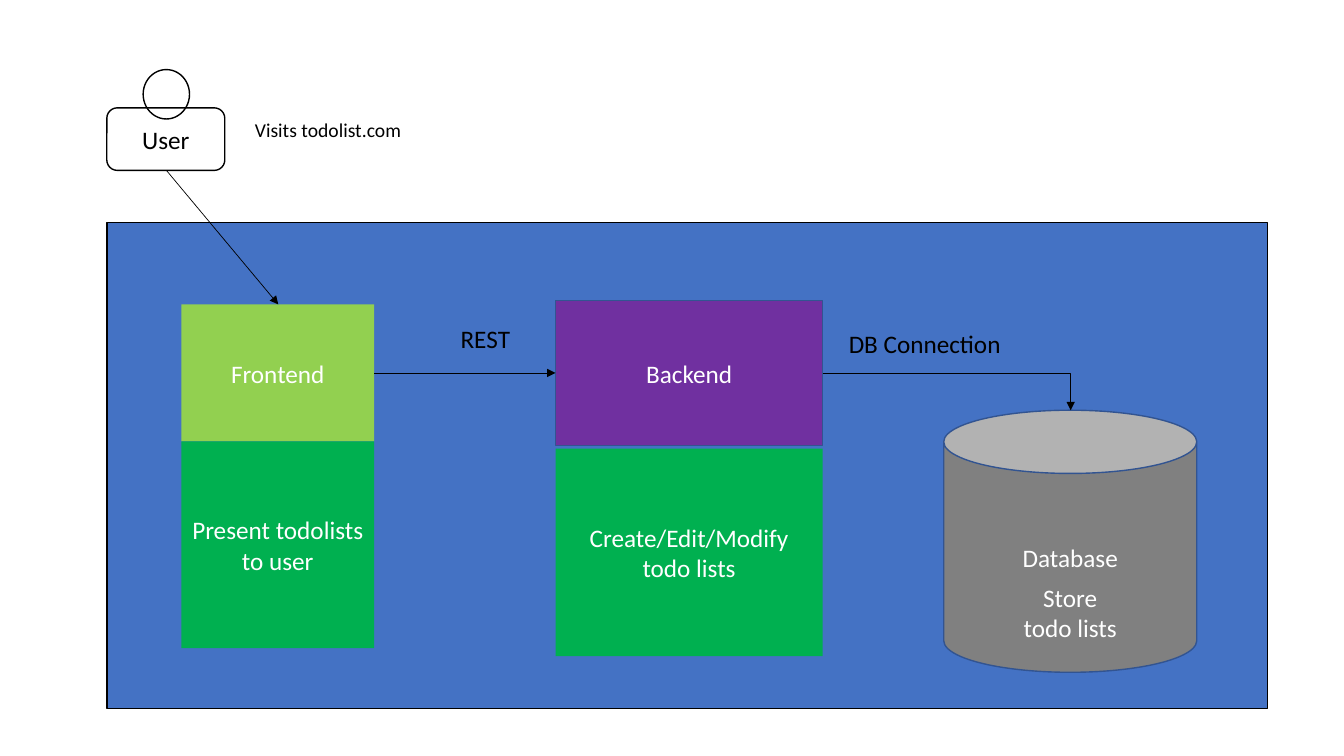
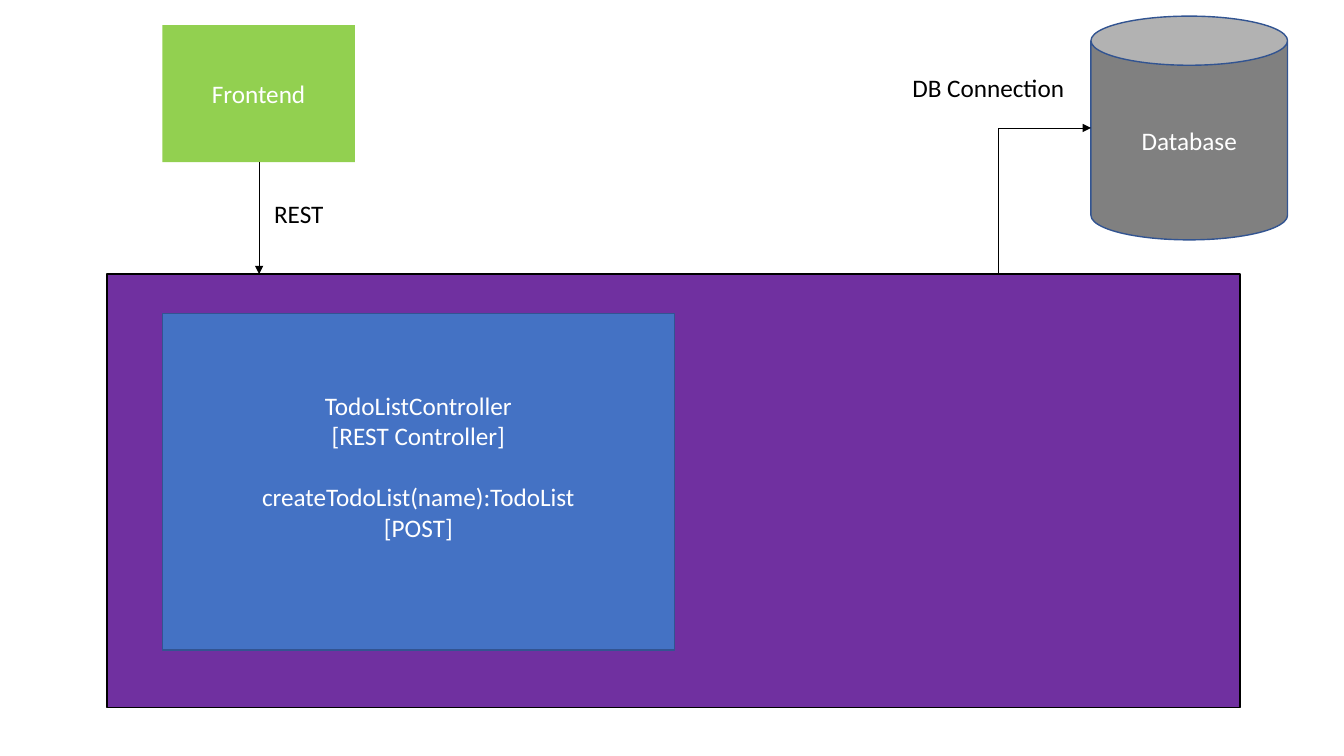
from dataclasses import dataclass
from typing import Optional

from lxml.etree import SubElement
from pptx import Presentation
from pptx.dml.color import RGBColor
from pptx.enum.shapes import MSO_CONNECTOR, MSO_SHAPE
from pptx.enum.text import MSO_ANCHOR, MSO_AUTO_SIZE, PP_ALIGN
from pptx.oxml.ns import qn
from pptx.util import Inches, Pt

# Shared style
FONT = "Calibri"
BLACK = RGBColor(0x00, 0x00, 0x00)
WHITE = RGBColor(0xFF, 0xFF, 0xFF)
BLUE = RGBColor(0x44, 0x72, 0xC4)
BORDER = RGBColor(0x32, 0x54, 0x91)
PURPLE = RGBColor(0x70, 0x30, 0xA0)
LIME = RGBColor(0x92, 0xD0, 0x50)
GREEN = RGBColor(0x00, 0xB0, 0x50)
GRAY = RGBColor(0x80, 0x80, 0x80)
PANEL_LEFT = 1.06
TEXT_SIZE = 18
LINE_HEIGHT = 22  # points taken by one line of body text


@dataclass(frozen=True)
class Box:
    left: float
    top: float
    width: float
    height: float
    text: str = ""
    fill: Optional[RGBColor] = None
    line: Optional[RGBColor] = None
    color: RGBColor = WHITE
    kind: MSO_SHAPE = MSO_SHAPE.RECTANGLE


@dataclass(frozen=True)
class Label:
    left: float
    top: float
    width: float
    height: float
    text: str
    size: int = TEXT_SIZE
    color: RGBColor = BLACK
    align: PP_ALIGN = PP_ALIGN.LEFT
    wrap: bool = False


@dataclass(frozen=True)
class Arrow:
    x1: float
    y1: float
    x2: float
    y2: float


def set_text(tf, text: str, size: int, color: RGBColor, align: PP_ALIGN) -> None:
    tf.text = text
    for p in tf.paragraphs:
        p.alignment = align
        for r in p.runs:
            r.font.name = FONT
            r.font.size = Pt(size)
            r.font.color.rgb = color


def add_box(s, box: Box):
    sp = s.shapes.add_shape(box.kind, Inches(box.left), Inches(box.top),
                            Inches(box.width), Inches(box.height))
    sp.shadow.inherit = False
    if box.fill is None:
        sp.fill.background()
    else:
        sp.fill.solid()
        sp.fill.fore_color.rgb = box.fill
    if box.line is None:
        sp.line.fill.background()
    else:
        sp.line.color.rgb = box.line
        sp.line.width = Pt(1)
    if box.text:
        sp.text_frame.vertical_anchor = MSO_ANCHOR.MIDDLE
        set_text(sp.text_frame, box.text, TEXT_SIZE, box.color, PP_ALIGN.CENTER)
    return sp


def add_label(s, label: Label) -> None:
    sp = s.shapes.add_textbox(Inches(label.left), Inches(label.top),
                              Inches(label.width), Inches(label.height))
    tf = sp.text_frame
    tf.word_wrap = label.wrap
    tf.auto_size = MSO_AUTO_SIZE.SHAPE_TO_FIT_TEXT
    set_text(tf, label.text, label.size, label.color, label.align)


def add_arrow(s, arrow: Arrow, kind: MSO_CONNECTOR = MSO_CONNECTOR.STRAIGHT):
    cxn = s.shapes.add_connector(kind, Inches(arrow.x1), Inches(arrow.y1),
                                 Inches(arrow.x2), Inches(arrow.y2))
    cxn.line.color.rgb = BLACK
    cxn.line.width = Pt(0.5)
    sp_pr = cxn._element.spPr
    SubElement(sp_pr.find(qn("a:ln")), qn("a:tailEnd"), type="triangle")
    SubElement(sp_pr, qn("a:effectLst"))
    return cxn


def add_elbow(s, arrow: Arrow, upward: bool = False) -> None:
    """One-bend arrow: right then down, or up then right when upward."""
    if upward:
        # A quarter turn about the centre swaps width and height
        cx, cy = (arrow.x1 + arrow.x2) / 2, (arrow.y1 + arrow.y2) / 2
        dx, dy = abs(arrow.y2 - arrow.y1) / 2, abs(arrow.x2 - arrow.x1) / 2
        arrow = Arrow(cx + dx, cy + dy, cx - dx, cy - dy)
    cxn = add_arrow(s, arrow, MSO_CONNECTOR.ELBOW)
    sp_pr = cxn._element.spPr
    sp_pr.find(qn("a:prstGeom")).set("prst", "bentConnector2")
    if upward:
        sp_pr.find(qn("a:xfrm")).set("rot", str(90 * 60000))


def add_panel(s, top: float, width: float, height: float, fill: RGBColor) -> None:
    add_box(s, Box(PANEL_LEFT, top, width, height, fill=fill, line=BLACK))


def add_frontend(s, left: float, top: float) -> None:
    add_box(s, Box(left, top, 1.91, 1.36, "Frontend", LIME))


def add_database(s, left: float, top: float, width: float, height: float) -> None:
    add_box(s, Box(left, top, width, height, "Database", GRAY, BORDER,
                   kind=MSO_SHAPE.CAN))


def add_link_labels(s, rest: tuple[float, float], db: tuple[float, float]) -> None:
    add_label(s, Label(*rest, 0.7, 0.4, "REST"))
    add_label(s, Label(*db, 1.73, 0.4, "DB Connection"))


def build_overview(prs) -> None:
    s = prs.slides.add_slide(prs.slide_layouts[6])
    add_panel(s, 2.21, 11.51, 4.82, BLUE)

    # User
    add_box(s, Box(PANEL_LEFT, 1.07, 1.17, 0.62, "User", line=BLACK, color=BLACK,
                   kind=MSO_SHAPE.ROUNDED_RECTANGLE))
    add_box(s, Box(1.42, 0.69, 0.46, 0.49, line=BLACK, kind=MSO_SHAPE.OVAL))
    add_label(s, Label(2.43, 1.12, 1.8, 0.34, "Visits todolist.com", 14, wrap=True))

    # Components and their duties
    add_box(s, Box(5.51, 2.98, 2.65, 1.44, "Backend", PURPLE, BORDER))
    add_frontend(s, 1.8, 3.02)
    add_database(s, 9.36, 4.07, 2.51, 2.6)
    add_box(s, Box(1.8, 4.38, 1.91, 2.05, "Present todolists to user", GREEN))
    add_box(s, Box(5.51, 4.45, 2.65, 2.06, "Create/Edit/Modify\ntodo lists", GREEN))
    add_label(s, Label(10.05, 5.73, 1.13, 0.71, "Store\ntodo lists",
                       color=WHITE, align=PP_ALIGN.CENTER))

    # Links
    add_arrow(s, Arrow(1.65, 1.69, 2.76, 3.02))
    add_arrow(s, Arrow(3.71, 3.7, 5.51, 3.7))
    add_elbow(s, Arrow(8.16, 3.7, 10.62, 4.07))
    add_link_labels(s, rest=(4.47, 3.16), db=(8.32, 3.21))


def build_backend(prs) -> None:
    s = prs.slides.add_slide(prs.slide_layouts[6])
    add_panel(s, 2.72, 11.24, 4.3, PURPLE)

    # Neighbours and links
    add_frontend(s, 1.61, 0.25)
    add_database(s, 10.82, 0.16, 1.95, 2.22)
    add_arrow(s, Arrow(2.57, 1.61, 2.57, 2.72))
    add_elbow(s, Arrow(9.9, 2.72, 10.82, 1.27), upward=True)
    add_link_labels(s, rest=(2.62, 1.92), db=(8.95, 0.67))

    # Controller: text sits half a line above the middle
    controller = add_box(s, Box(
        1.61, 3.11, 5.08, 3.34,
        "TodoListController\n[REST Controller]\ncreateTodoList(name):TodoList\n[POST]",
        BLUE, BORDER))
    tf = controller.text_frame
    tf.margin_bottom = Inches(0.05) + Pt(LINE_HEIGHT)
    tf.paragraphs[2].space_before = Pt(LINE_HEIGHT)


prs = Presentation()
prs.slide_width = Inches(13.33)
prs.slide_height = Inches(7.5)
build_overview(prs)
build_backend(prs)
prs.save("out.pptx")
